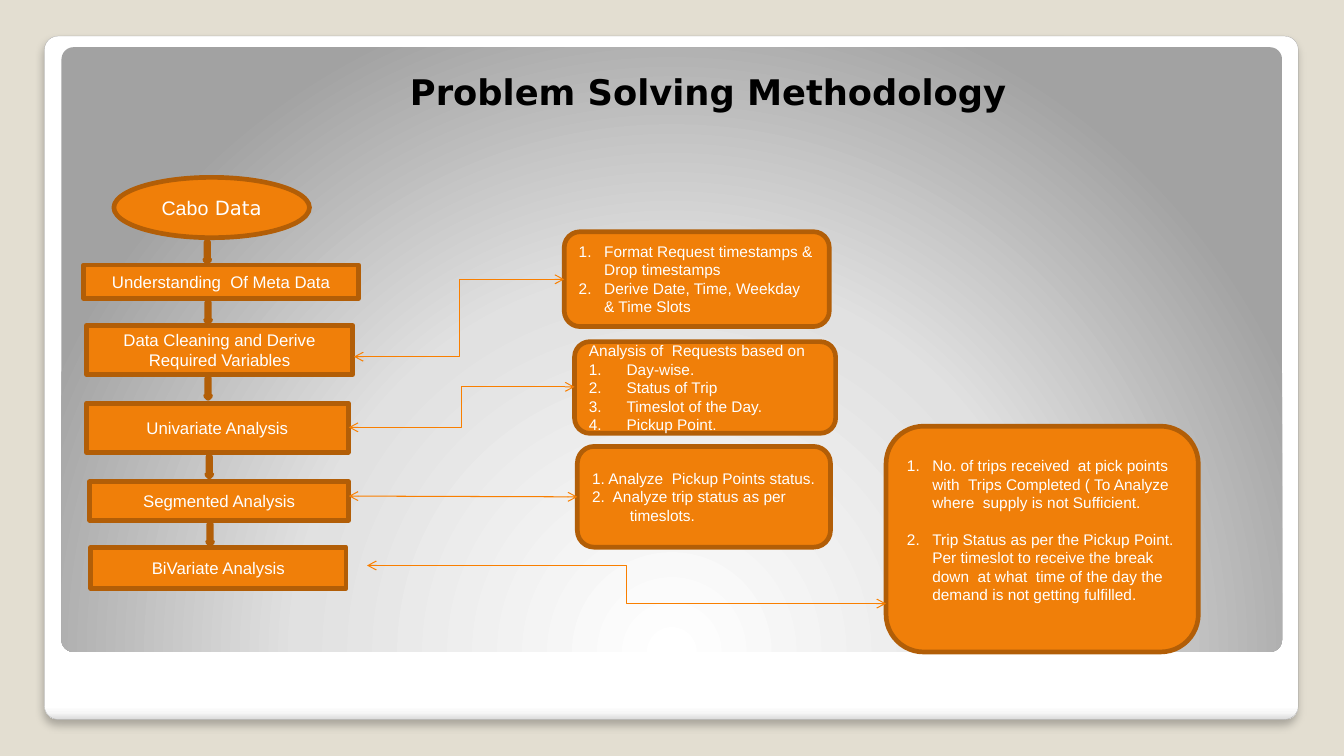
"""Build the problem solving methodology slide."""
from dataclasses import dataclass

from lxml import etree
from pptx import Presentation
from pptx import util as u
from pptx.dml.color import RGBColor
from pptx.enum import shapes, text
from pptx.oxml import ns, parse_xml

BACKGROUND = RGBColor(0xE3, 0xDE, 0xD1)
PANEL_EDGE = RGBColor(0xA4, 0xA4, 0xA4)
ORANGE = RGBColor(0xF0, 0x7F, 0x09)
BROWN = RGBColor(0xB2, 0x5E, 0x07)
LINK = RGBColor(0xF9, 0x7F, 0x00)
WHITE = RGBColor(0xFF, 0xFF, 0xFF)
BLACK = RGBColor(0, 0, 0)
KIND = shapes.MSO_SHAPE
SANS, TITLE_FONT = "Arial", "DejaVu Sans"
TITLE_STYLE = {"size": u.Pt(25.2), "name": TITLE_FONT, "bold": True}
START_STYLE = {"size": u.Pt(14), "name": SANS}
STEP_STYLE = {"size": u.Pt(12), "name": SANS}
NOTE_STYLE = {"size": u.Pt(11), "name": SANS}


@dataclass
class Box:
    left: float
    top: float
    width: float
    height: float


@dataclass
class Step:
    box: Box
    label: str


@dataclass
class Item:
    words: str
    numbered: bool = True
    gap: float = 0


@dataclass
class Note:
    box: Box
    indent: float
    items: list[Item]
    bottom_inset: float = 0.13


@dataclass
class Link:
    start: tuple[float, float]
    end: tuple[float, float]
    kind: shapes.MSO_CONNECTOR = shapes.MSO_CONNECTOR.ELBOW


START = Box(2.87, 4.47, 4.93, 1.52)
STEPS = [
    Step(Box(2.11, 6.68, 6.93, 0.84), "Understanding  Of Meta Data"),
    Step(Box(2.18, 8.2, 6.71, 1.24), "Data Cleaning and Derive Required Variables"),
    Step(Box(2.18, 10.16, 6.6, 1.24), "Univariate Analysis"),
    Step(Box(2.26, 12.14, 6.53, 0.97), "Segmented Analysis"),
    Step(Box(2.29, 13.79, 6.43, 1.04), "BiVariate Analysis"),
]
ARROWS = [(5.16, 6.1), (5.18, 7.62), (5.18, 9.53), (5.21, 11.51), (5.23, 13.21)]
NOTES = [
    Note(Box(14.22, 5.84, 6.68, 2.39), 0.64, [
        Item("Format Request timestamps & Drop timestamps"),
        Item("Derive Date, Time, Weekday & Time Slots")]),
    Note(Box(14.48, 8.61, 6.58, 2.31), 0.95, [
        Item("Analysis of  Requests based on", False),
        Item("Day-wise."), Item("Status of Trip"),
        Item("Timeslot of the Day."), Item("Pickup Point.")]),
    Note(Box(14.55, 11.25, 6.38, 2.54), 0.95, [
        Item("1. Analyze  Pickup Points status.", False),
        Item("2.  Analyze trip status as per  timeslots.", False)]),
    Note(Box(22.33, 10.74, 7.87, 5.69), 0.64, [
        Item("No. of trips received  at pick points  with  Trips Completed "
             "( To Analyze  where  supply is not Sufficient."),
        Item("Trip Status as per the Pickup Point. Per timeslot to receive the break "
             "down  at what  time of the day the demand is not getting fulfilled.",
             gap=0.45)], 0.58),
]
LINKS = [
    Link((8.92, 8.99), (14.22, 7.04)),
    Link((8.79, 10.77), (14.48, 9.75)),
    Link((8.79, 12.5), (14.55, 12.52), shapes.MSO_CONNECTOR.STRAIGHT),
    Link((9.25, 14.25), (22.33, 15.21)),
]


def lengths(box: Box) -> list[u.Length]:
    """Give the four lengths of a box."""
    return [u.Cm(value) for value in (box.left, box.top, box.width, box.height)]


def apply(target: object, values: dict) -> None:
    """Set attributes from a dict."""
    for name, value in values.items():
        setattr(target, name, value)


def add_run(paragraph, words: str, style: dict, color: RGBColor = WHITE) -> None:
    """Add a formatted run."""
    run = paragraph.add_run()
    run.text = words
    apply(run.font, style)
    run.font.color.rgb = color


def add_block(slide, kind: shapes.MSO_SHAPE, box: Box):
    """Add an orange shape with a brown outline."""
    shape = slide.shapes.add_shape(kind, *lengths(box))
    shape.shadow.inherit = False
    shape.fill.solid()
    shape.fill.fore_color.rgb = ORANGE
    shape.line.color.rgb = BROWN
    shape.line.width = u.Pt(3.35)
    apply(shape.text_frame, {"word_wrap": True, "vertical_anchor": text.MSO_ANCHOR.MIDDLE})
    shape.text_frame.paragraphs[0].alignment = text.PP_ALIGN.CENTER
    return shape


def add_panel(slide, box: Box, stops: list[tuple[int, str]], direction: str):
    """Add a rounded panel with a gradient."""
    shape = slide.shapes.add_shape(KIND.ROUNDED_RECTANGLE, *lengths(box))
    shape.adjustments[0] = 0.02
    shape.shadow.inherit = False
    shape.line.fill.background()
    shape.fill.gradient()
    colors = "".join(f'<a:gs pos="{place * 1000}"><a:srgbClr val="{color}"/></a:gs>'
                     for place, color in stops)
    gradient = parse_xml(f'<a:gradFill {ns.nsdecls("a")} rotWithShape="1">'
                         f"<a:gsLst>{colors}</a:gsLst>{direction}</a:gradFill>")
    properties = shape.element.spPr
    properties.replace(properties.find(ns.qn("a:gradFill")), gradient)
    return shape


def add_panels(slide) -> None:
    """Draw the white frame and the grey panel."""
    frame = add_panel(slide, Box(1.12, 0.91, 31.6, 17.22),
                      [(0, "FFFFFF"), (98, "FFFFFF"), (99, "F7F7F7"), (100, "DADADA")],
                      '<a:lin ang="5400000" scaled="0"/>')
    frame.line.color.rgb = PANEL_EDGE
    frame.line.width = u.Pt(0.16)
    frame.element.spPr.find(ns.qn("a:effectLst")).append(parse_xml(
        f'<a:outerShdw {ns.nsdecls("a")} blurRad="76200" dist="50800" dir="5400000">'
        '<a:srgbClr val="000000"><a:alpha val="25000"/></a:srgbClr></a:outerShdw>'))
    add_panel(slide, Box(1.55, 1.19, 30.76, 15.24),
              [(0, "FFFFFF"), (55, "E1E1E1"), (100, "A2A2A2")],
              '<a:path path="circle"><a:fillToRect l="50000" t="175000" '
              'r="50000" b="-75000"/></a:path>')


def add_title(slide) -> None:
    """Write the title."""
    frame = slide.shapes.add_textbox(*lengths(Box(2.7, 1.32, 30.3, 1.65))).text_frame
    apply(frame, {"word_wrap": True, "vertical_anchor": text.MSO_ANCHOR.BOTTOM})
    frame.paragraphs[0].alignment = text.PP_ALIGN.CENTER
    add_run(frame.paragraphs[0], "Problem Solving Methodology", TITLE_STYLE, BLACK)


def add_note(slide, note: Note) -> None:
    """Draw a note with hanging, numbered items."""
    frame = add_block(slide, KIND.ROUNDED_RECTANGLE, note.box).text_frame
    frame.margin_bottom = u.Cm(note.bottom_inset)
    for index, item in enumerate(note.items):
        paragraph = frame.add_paragraph() if index else frame.paragraphs[0]
        apply(paragraph, {"alignment": text.PP_ALIGN.LEFT, "space_before": u.Cm(item.gap)})
        properties = paragraph._p.get_or_add_pPr()
        properties.set("marL", str(u.Cm(note.indent)))
        properties.set("indent", str(-u.Cm(note.indent)))
        if item.numbered:
            etree.SubElement(properties, ns.qn("a:buFont"), typeface="+mj-lt")
            etree.SubElement(properties, ns.qn("a:buAutoNum"), type="arabicPeriod")
        add_run(paragraph, item.words, NOTE_STYLE)


def add_link(slide, link: Link) -> None:
    """Draw a connector with open arrowheads at both ends."""
    points = [u.Cm(value) for value in (*link.start, *link.end)]
    connector = slide.shapes.add_connector(link.kind, *points)
    connector.line.color.rgb = LINK
    connector.line.width = u.Pt(0.75)
    for end in ("a:headEnd", "a:tailEnd"):
        etree.SubElement(connector.line._get_or_add_ln(), ns.qn(end), type="arrow")
    etree.SubElement(connector._element.spPr, ns.qn("a:effectLst"))


def main() -> None:
    """Build and save the slide."""
    presentation = Presentation()
    apply(presentation, {"slide_width": u.Cm(33.87), "slide_height": u.Cm(19.05)})
    slide = presentation.slides.add_slide(presentation.slide_layouts[6])
    slide.background.fill.solid()
    slide.background.fill.fore_color.rgb = BACKGROUND
    add_panels(slide)
    add_title(slide)
    start = add_block(slide, KIND.OVAL, START).text_frame.paragraphs[0]
    add_run(start, "Cabo", START_STYLE)
    add_run(start, " Data", START_STYLE | {"name": TITLE_FONT})
    for step in STEPS:
        shape = add_block(slide, KIND.RECTANGLE, step.box)
        add_run(shape.text_frame.paragraphs[0], step.label, STEP_STYLE)
    for left, top in ARROWS:
        add_block(slide, KIND.DOWN_ARROW, Box(left, top, 0.13, 0.51))
    for note in NOTES:
        add_note(slide, note)
    for link in LINKS:
        add_link(slide, link)
    presentation.save("out.pptx")


if __name__ == "__main__":
    main()
